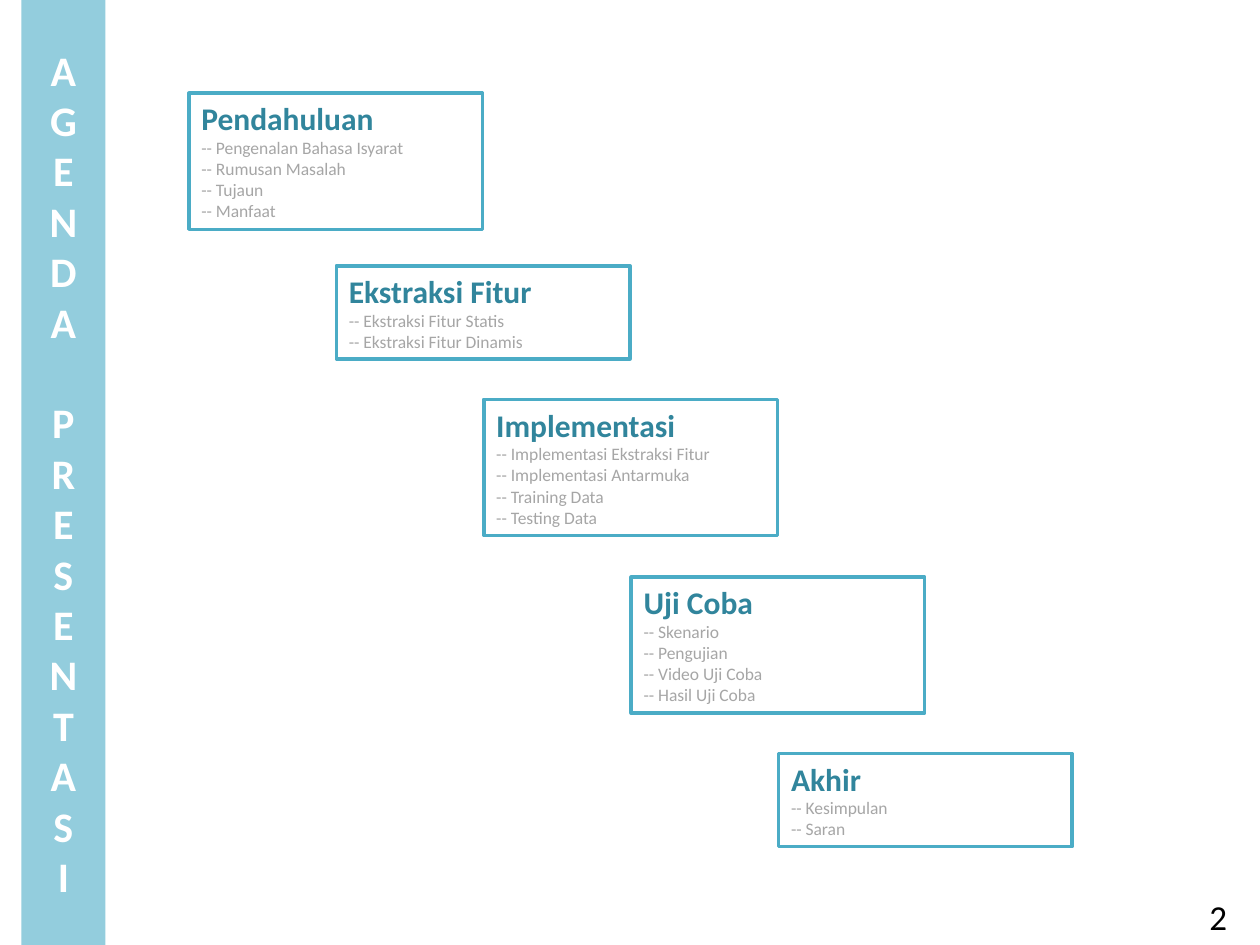
from dataclasses import dataclass

from pptx import Presentation
from pptx.dml.color import RGBColor
from pptx.enum import text
from pptx.util import Pt

FIRST_LEFT = 108
STEP_RIGHT = 84.24
CARD_WIDTH = 167.76
HEADING_HEIGHT = 28.8
ITEM_HEIGHT = 12.24


@dataclass
class Section:
    top: float
    heading: str
    items: list[str]


SECTIONS = [
    Section(53.28, "Pendahuluan",
            ["Pengenalan Bahasa Isyarat", "Rumusan Masalah", "Tujaun", "Manfaat"]),
    Section(151.92, "Ekstraksi Fitur",
            ["Ekstraksi Fitur Statis", "Ekstraksi Fitur Dinamis"]),
    Section(228.24, "Implementasi",
            ["Implementasi Ekstraksi Fitur", "Implementasi Antarmuka",
             "Training Data", "Testing Data"]),
    Section(329.76, "Uji Coba",
            ["Skenario", "Pengujian", "Video Uji Coba", "Hasil Uji Coba"]),
    Section(430.56, "Akhir", ["Kesimpulan", "Saran"]),
]


def color(value: str) -> RGBColor:
    return RGBColor.from_string(value)


def style(para, size: float, hex_color: str, bold: bool = False) -> None:
    para.font.name = "Calibri"
    para.font.size = Pt(size)
    para.font.bold = bold
    para.font.color.rgb = color(hex_color)


def fill(shape, hex_color: str) -> None:
    shape.fill.solid()
    shape.fill.fore_color.rgb = color(hex_color)


def draw_banner(page, words: str) -> None:
    title = page.shapes.title
    title.left, title.top = Pt(12.24), Pt(0)
    title.width, title.height = Pt(48), Pt(540)
    fill(title, "93CDDD")
    frame = title.text_frame
    frame.text = "\v".join(words)
    frame.auto_size = text.MSO_AUTO_SIZE.NONE
    frame.vertical_anchor = text.MSO_ANCHOR.MIDDLE
    para = frame.paragraphs[0]
    para.alignment = text.PP_ALIGN.CENTER
    style(para, 24, "FFFFFF", bold=True)


def add_box(page, left: float, top: float, width: float, height: float,
            lines: list[str]):
    box = page.shapes.add_textbox(Pt(left), Pt(top), Pt(width), Pt(height))
    frame = box.text_frame
    frame.word_wrap = True
    frame.auto_size = text.MSO_AUTO_SIZE.SHAPE_TO_FIT_TEXT
    frame.text = "\n".join(lines)
    return box


def draw_section(page, index: int, section: Section) -> None:
    lines = [section.heading] + [f"-- {item}" for item in section.items]
    height = HEADING_HEIGHT + ITEM_HEIGHT * len(section.items)
    box = add_box(page, FIRST_LEFT + STEP_RIGHT * index, section.top,
                  CARD_WIDTH, height, lines)
    fill(box, "FFFFFF")
    box.line.color.rgb = color("4BACC6")
    box.line.width = Pt(2)
    heading, *items = box.text_frame.paragraphs
    style(heading, 18, "31859C", bold=True)
    for para in items:
        style(para, 10, "A6A6A6")


def draw_page_number(page, number: str) -> None:
    box = add_box(page, 684, 508.32, 36, 31.68, [number])
    style(box.text_frame.paragraphs[0], 20, "000000")


def main() -> None:
    deck = Presentation()
    deck.slide_width, deck.slide_height = Pt(720), Pt(540)
    page = deck.slides.add_slide(deck.slide_layouts.get_by_name("Title Only"))
    draw_banner(page, "AGENDA PRESENTASI")
    draw_page_number(page, "2")
    for index, section in enumerate(SECTIONS):
        draw_section(page, index, section)
    deck.save("out.pptx")


if __name__ == "__main__":
    main()
